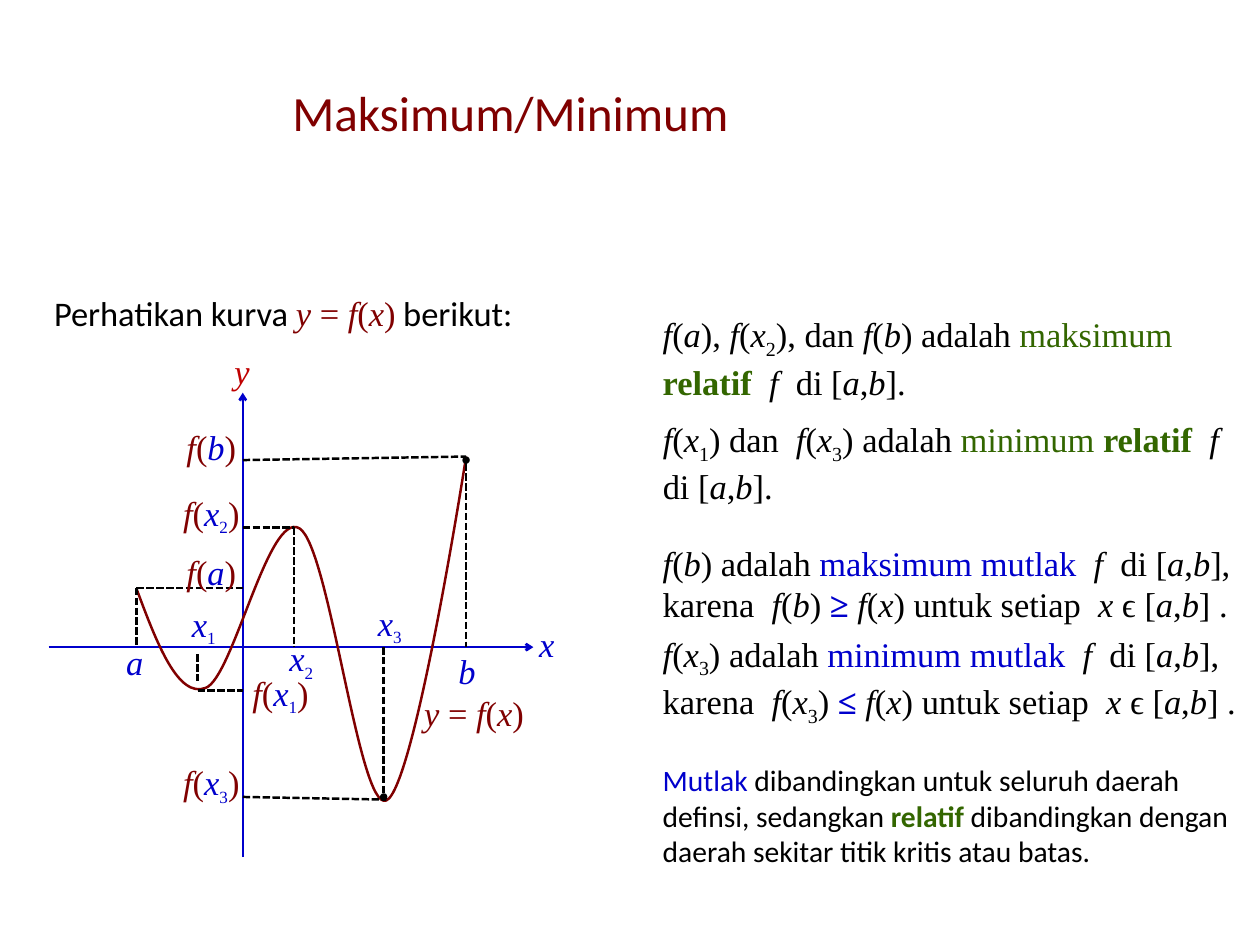
from dataclasses import dataclass
from typing import Optional

from lxml import etree
from pptx import Presentation
from pptx.dml.color import RGBColor
from pptx.enum.dml import MSO_LINE
from pptx.enum.shapes import MSO_CONNECTOR
from pptx.enum.text import MSO_ANCHOR, PP_ALIGN
from pptx.oxml.ns import qn
from pptx.util import Inches, Pt

STRAIGHT = MSO_CONNECTOR.STRAIGHT
SYS_DASH = MSO_LINE.SQUARE_DOT
TOP, MIDDLE, BOTTOM = MSO_ANCHOR.TOP, MSO_ANCHOR.MIDDLE, MSO_ANCHOR.BOTTOM
LEFT, CENTER = PP_ALIGN.LEFT, PP_ALIGN.CENTER


@dataclass(frozen=True)
class Theme:
    black: str = "000000"
    blue: str = "0000CC"
    maroon: str = "800000"
    red: str = "C00000"
    green: str = "336600"
    sans: str = "Calibri"
    serif: str = "Times New Roman"
    title: int = 40
    body: int = 28
    small: int = 24
    line: int = 2


THEME = Theme()
COLOR_MARKS = {"@": THEME.blue, "~": THEME.maroon, "$": THEME.green}
FLAG_MARKS = {"*": "italic", "_": "subscript", "#": "bold", "&": "serif"}


@dataclass(frozen=True)
class Segment:
    x1: float
    y1: float
    x2: float
    y2: float
    color: str = THEME.black
    dashed: bool = True
    head: Optional[str] = None
    tail: Optional[str] = None


@dataclass(frozen=True)
class Label:
    text: str
    left: float
    top: float
    width: float
    color: str = THEME.blue


@dataclass(frozen=True)
class Statement:
    text: str
    left: float
    top: float
    width: float
    height: float
    size: int = THEME.body
    font: str = THEME.serif


AXIS_X, AXIS_Y = 2.74, 7.3
A, X1, X2, X3, B = 1.54, 2.23, 3.32, 4.33, 5.26
F_A, F_X1, F_X2, F_X3, F_B = 6.63, 7.79, 5.95, 8.99, 5.19

AXES = [
    Segment(0.55, AXIS_Y, 6.02, AXIS_Y, THEME.blue, False, tail="arrow"),
    Segment(AXIS_X, 9.67, AXIS_X, 4.43, THEME.blue, False, tail="arrow"),
]
GUIDES = [
    Segment(A, F_A, A, AXIS_Y),
    Segment(X1, 7.38, X1, 7.71),
    Segment(X2, F_X2, X2, AXIS_Y),
    Segment(X3, AXIS_Y, X3, F_X3, tail="oval"),
    Segment(B, F_B, B, AXIS_Y, head="oval"),
    Segment(A, F_A, AXIS_X, F_A),
    Segment(AXIS_X, F_X2, X2, F_X2),
    Segment(AXIS_X, F_B, B, 5.15),
    Segment(AXIS_X, F_X3, 4.36, 9.02),
    Segment(X1, F_X1, AXIS_X, F_X1),
]
CURVE = [
    (1.54, 6.64), (1.77, 7.26), (2.01, 7.88), (2.32, 7.76),
    (2.63, 7.65), (3.03, 5.75), (3.38, 5.96),
    (3.72, 6.17), (4.05, 9.16), (4.36, 9.03),
    (4.68, 8.89), (5.26, 5.15), (5.26, 5.15),
]
LABEL_HEIGHT = 0.6
LABELS = [
    Label("*y* = *f*(*x*)", 4.53, 7.74, 1.64, THEME.maroon),
    Label("*y*", 2.42, 3.89, 0.62, THEME.red),
    Label("*x*", 5.86, 6.96, 0.62),
    Label("*x*_1_", 1.95, 6.78, 0.7),
    Label("*x*_2_", 3.05, 7.17, 0.7),
    Label("*x*_3_", 4.05, 6.77, 0.7),
    Label("*a*", 1.17, 7.17, 0.7),
    Label("*b*", 4.92, 7.27, 0.7),
    Label("*f*(@*x*_1_@)", 2.58, 7.56, 1.17, THEME.maroon),
    Label("*f*(@*x*_3_@)", 1.8, 8.57, 1.17, THEME.maroon),
    Label("*f*(@*x*_2_@)", 1.8, 5.53, 1.17, THEME.maroon),
    Label("*f*(@*b*@)", 1.8, 4.74, 1.17, THEME.maroon),
    Label("*f*(@*a*@)", 1.8, 6.15, 1.17, THEME.maroon),
]
STATEMENTS = [
    Statement("Perhatikan kurva &~*y* = *f*(*x*)~& berikut:",
              0.55, 3.1, 6.17, 0.86, font=THEME.sans),
    Statement("*f*(*b*) adalah @maksimum mutlak  @*f  *di [*a*,*b*], karena  "
              "*f*(*b*) @#≥ #@*f*(*x*) untuk setiap  *x *ϵ [*a*,*b*] .",
              7.42, 6.15, 6.8, 0.86),
    Statement("*f*(*x*_3_) adalah @minimum mutlak  @*f  *di [*a*,*b*], karena  "
              "*f*(*x*_3_) @#≤ #@*f*(*x*) untuk setiap  *x *ϵ [*a*,*b*] .",
              7.42, 7.24, 6.8, 0.86),
    Statement("*f*(*a*), *f*(*x*_2_), dan *f*(*b*) adalah "
              "$maksimum #relatif  #$*f  *di [*a*,*b*].",
              7.42, 3.49, 6.8, 1.09),
    Statement("*f*(*x*_1_) dan  *f*(*x*_3_) adalah "
              "$minimum #relatif  #$*f  *di [*a*,*b*].",
              7.42, 4.67, 6.72, 1.09),
    Statement("@Mutlak@ dibandingkan untuk seluruh daerah definsi, sedangkan "
              "$#relatif#$ dibandingkan dengan daerah sekitar titik kritis atau batas.",
              7.42, 8.42, 6.8, 1.56, THEME.small, THEME.sans),
]


def add_text(slide, text: str, left: float, top: float, width: float, height: float, *,
             size: int = THEME.body, sub_size: int = THEME.body, font: str = THEME.serif,
             color: str = THEME.black, align=LEFT, anchor=MIDDLE,
             inset_x: float = 0.06, inset_y: float = 0.06) -> None:
    tf = slide.shapes.add_textbox(Inches(left), Inches(top), Inches(width), Inches(height)).text_frame
    tf.word_wrap = True
    tf.vertical_anchor = anchor
    tf.margin_left = tf.margin_right = Inches(inset_x)
    tf.margin_top = tf.margin_bottom = Inches(inset_y)
    p = tf.paragraphs[0]
    p.alignment = align
    flags = dict.fromkeys(FLAG_MARKS.values(), False)
    current = color
    r = None
    for char in text:
        if char in FLAG_MARKS:
            flags[FLAG_MARKS[char]] = not flags[FLAG_MARKS[char]]
            r = None
        elif char in COLOR_MARKS:
            current = color if current == COLOR_MARKS[char] else COLOR_MARKS[char]
            r = None
        else:
            if r is None:
                r = p.add_run()
                r.font.name = THEME.serif if flags["serif"] else font
                r.font.size = Pt(sub_size if flags["subscript"] else size)
                r.font.color.rgb = RGBColor.from_string(current)
                r.font.italic = flags["italic"]
                r.font.bold = flags["bold"]
                if flags["subscript"]:
                    r._r.get_or_add_rPr().set("baseline", "-25000")
            r.text += char


def add_segment(slide, seg: Segment) -> None:
    c = slide.shapes.add_connector(STRAIGHT, Inches(seg.x1), Inches(seg.y1), Inches(seg.x2), Inches(seg.y2))
    c.line.color.rgb = RGBColor.from_string(seg.color)
    c.line.width = Pt(THEME.line)
    if seg.dashed:
        c.line.dash_style = SYS_DASH
    ln = c.line._get_or_add_ln()
    for tag, kind in (("a:headEnd", seg.head), ("a:tailEnd", seg.tail)):
        if kind:
            etree.SubElement(ln, qn(tag), type=kind)
    etree.SubElement(c._element.spPr, qn("a:effectLst"))


def add_curve(slide, points: list[tuple[float, float]]) -> None:
    start, *controls = [(Inches(x), Inches(y)) for x, y in points]
    builder = slide.shapes.build_freeform(*start)
    builder.add_line_segments(controls, close=False)
    sp = builder.convert_to_shape()
    sp.fill.background()
    sp.line.color.rgb = RGBColor.from_string(THEME.maroon)
    sp.line.width = Pt(THEME.line)
    sp.shadow.inherit = False
    outline = sp._element.xpath(".//a:path")[0]
    steps = outline.findall(qn("a:lnTo"))
    for i in range(0, len(steps), 3):
        bezier = etree.SubElement(outline, qn("a:cubicBezTo"))
        for step in steps[i:i + 3]:
            bezier.append(step[0])
            outline.remove(step)


def main() -> None:
    prs = Presentation()
    prs.slide_width, prs.slide_height = Inches(14.22), Inches(10.66)
    slide = prs.slides.add_slide(prs.slide_layouts[6])
    add_text(slide, "Maksimum/Minimum", 3.2, 0.88, 10.21, 0.77, size=THEME.title,
             font=THEME.sans, color=THEME.maroon, anchor=TOP, inset_x=0.1, inset_y=0.05)
    for axis in AXES:
        add_segment(slide, axis)
    add_curve(slide, CURVE)
    for guide in GUIDES:
        add_segment(slide, guide)
    for label in LABELS:
        add_text(slide, label.text, label.left, label.top, label.width, LABEL_HEIGHT,
                 sub_size=THEME.small, color=label.color, align=CENTER, anchor=BOTTOM,
                 inset_x=0.14, inset_y=0.07)
    for s in STATEMENTS:
        add_text(slide, s.text, s.left, s.top, s.width, s.height,
                 size=s.size, font=s.font)
    prs.save("out.pptx")


if __name__ == "__main__":
    main()
